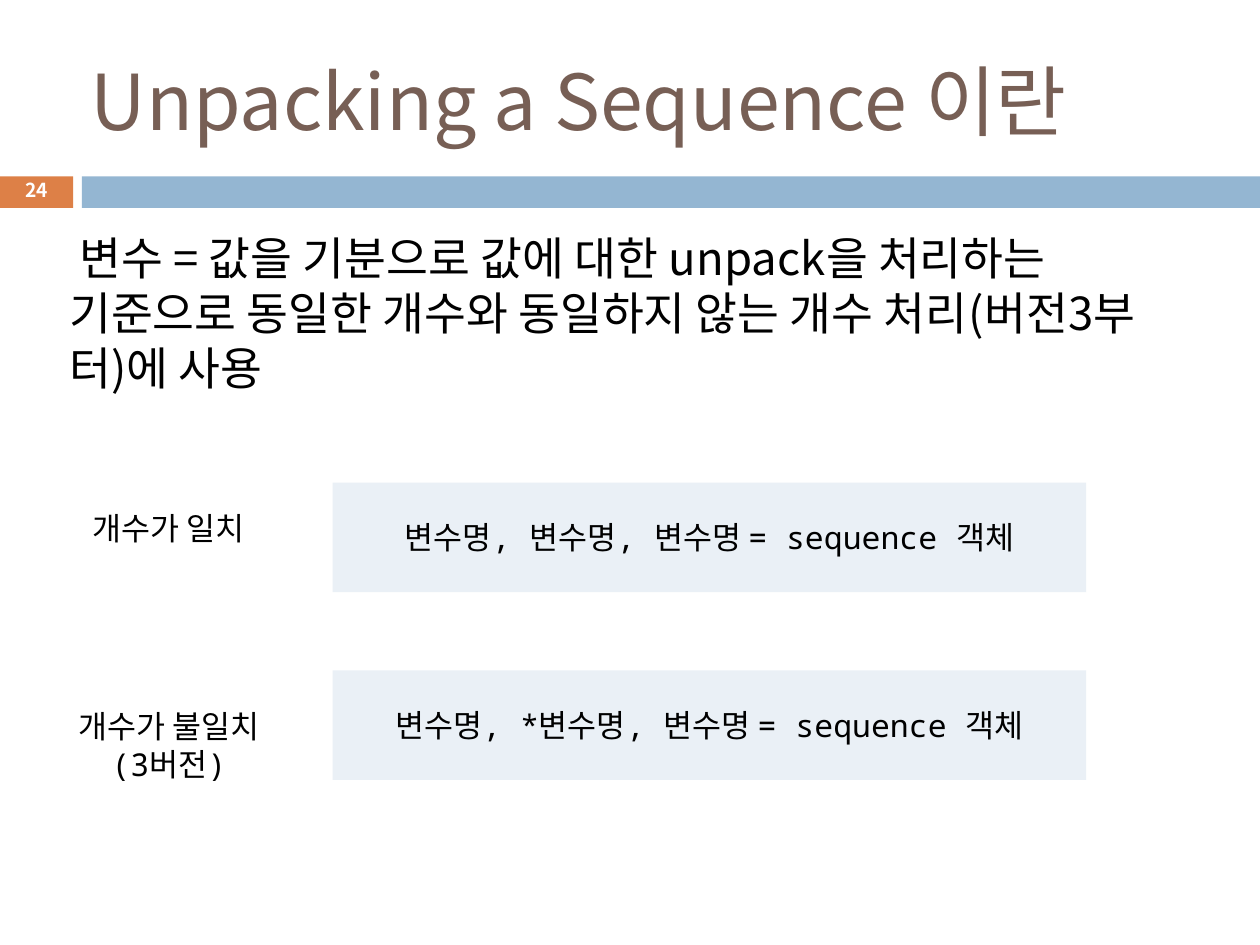
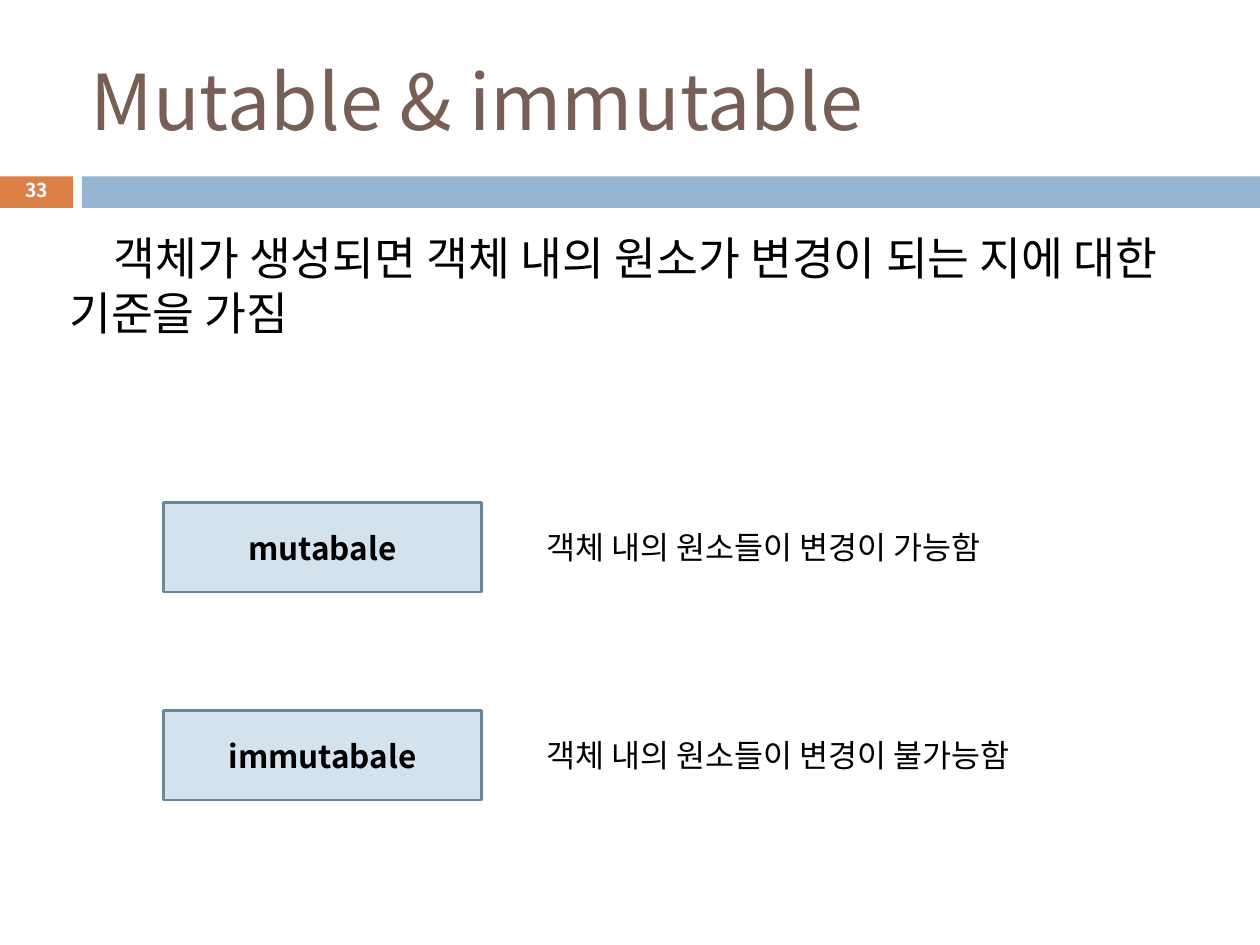
from lxml import etree
from pptx import Presentation
from pptx import util as u
from pptx.dml.color import RGBColor
from pptx.enum import shapes, text
from pptx.oxml import ns

COLORS = {
    "title": "775F55",
    "body": "000000",
    "number": "FFFFFF",
    "number_band": "DD8047",
    "band": "94B6D2",
    "syntax_panel": "EAF0F6",
    "term_box": "D4E2ED",
    "term_border": "6C8599",
}
SANS = "Noto Sans CJK KR"
MONO = "Noto Sans Mono"
INSET = 0.05
CENTER = text.PP_ALIGN.CENTER
MIDDLE = text.MSO_ANCHOR.MIDDLE


def color(name):
    return RGBColor.from_string(COLORS[name])


def write(frame, lines, size=18, font=SANS, ink="body", bold=False,
          align=text.PP_ALIGN.LEFT, anchor=text.MSO_ANCHOR.TOP,
          indent=0, spacing=None, inset=INSET):
    """Fill a text frame, one paragraph per line; Hangul is always set in SANS."""
    frame.word_wrap = True
    frame.vertical_anchor = anchor
    frame.margin_left = frame.margin_right = u.Inches(inset)
    frame.margin_top = frame.margin_bottom = u.Inches(inset)
    for index, line in enumerate(lines):
        paragraph = frame.paragraphs[0] if index == 0 else frame.add_paragraph()
        paragraph.alignment = align
        if spacing:
            paragraph.line_spacing = spacing
        if indent:
            properties = paragraph._p.get_or_add_pPr()
            properties.set("marL", "0")
            properties.set("indent", str(u.Inches(indent)))
        run = paragraph.add_run()
        run.text = line
        run.font.size = u.Pt(size)
        run.font.bold = bold
        run.font.color.rgb = color(ink)
        run.font.name = font
        east_asian = etree.SubElement(run._r.get_or_add_rPr(), ns.qn("a:ea"))
        east_asian.set("typeface", SANS)


def add_text(slide, left, top, width, height, *lines, **style):
    box = slide.shapes.add_textbox(*map(u.Inches, (left, top, width, height)))
    write(box.text_frame, lines, **style)


def add_box(slide, left, top, width, height, fill, border=None):
    box = slide.shapes.add_shape(shapes.MSO_SHAPE.RECTANGLE,
                                 *map(u.Inches, (left, top, width, height)))
    box.shadow.inherit = False
    box.fill.solid()
    box.fill.fore_color.rgb = color(fill)
    if border:
        box.line.color.rgb = color(border)
        box.line.width = u.Pt(1.5)
    else:
        box.line.fill.background()
    return box


def add_topic_slide(deck, number, title, summary, summary_indent):
    slide = deck.slides.add_slide(deck.slide_layouts[6])
    number_band = add_box(slide, 0, 1.4, 0.58, 0.25, "number_band")
    write(number_band.text_frame, [str(number)], size=11, ink="number",
          bold=True, align=CENTER, anchor=MIDDLE, spacing=0.8, inset=0)
    add_box(slide, 0.65, 1.4, 9.35, 0.25, "band")
    add_text(slide, 0.67, 0.25, 8.92, 1.08, title,
             size=44, ink="title", anchor=MIDDLE)
    add_text(slide, 0.5, 1.78, 9, 1.6, summary, size=26, indent=summary_indent)
    return slide


def add_syntax_row(slide, top, label_top, label_lines, syntax):
    panel = add_box(slide, 2.64, top, 5.98, 0.87, "syntax_panel")
    write(panel.text_frame, [syntax], font=MONO, align=CENTER, anchor=MIDDLE)
    add_text(slide, 0.35, label_top, 1.98, 0.06 + 0.36 * len(label_lines),
             *label_lines, font=MONO, align=CENTER)


def add_term_row(slide, top, term, meaning):
    term_box = add_box(slide, 1.3, top, 2.52, 0.71, "term_box", "term_border")
    write(term_box.text_frame, [term], bold=True, align=CENTER, anchor=MIDDLE)
    add_text(slide, 4.29, top + 0.15, 4.57, 0.4, meaning)


def main():
    deck = Presentation()
    deck.slide_width, deck.slide_height = u.Inches(10), u.Inches(7.5)

    unpacking = add_topic_slide(
        deck, 24, "Unpacking a Sequence 이란",
        "변수 = 값을 기분으로 값에 대한 unpack을 처리하는 기준으로 "
        "동일한 개수와 동일하지 않는 개수 처리(버전3부터)에 사용", 0.08)
    add_syntax_row(unpacking, 3.83, 3.99, ["개수가 일치"],
                   "변수명, 변수명, 변수명 = sequence 객체")
    add_syntax_row(unpacking, 5.32, 5.56, ["개수가 불일치", "(3버전)"],
                   "변수명, *변수명, 변수명 = sequence 객체")

    mutability = add_topic_slide(
        deck, 33, "Mutable & immutable",
        "객체가 생성되면 객체 내의 원소가 변경이 되는 지에 대한 기준을 가짐", 0.35)
    add_term_row(mutability, 3.99, "mutabale", "객체 내의 원소들이 변경이 가능함")
    add_term_row(mutability, 5.64, "immutabale", "객체 내의 원소들이 변경이 불가능함")

    deck.save("out.pptx")


if __name__ == "__main__":
    main()
